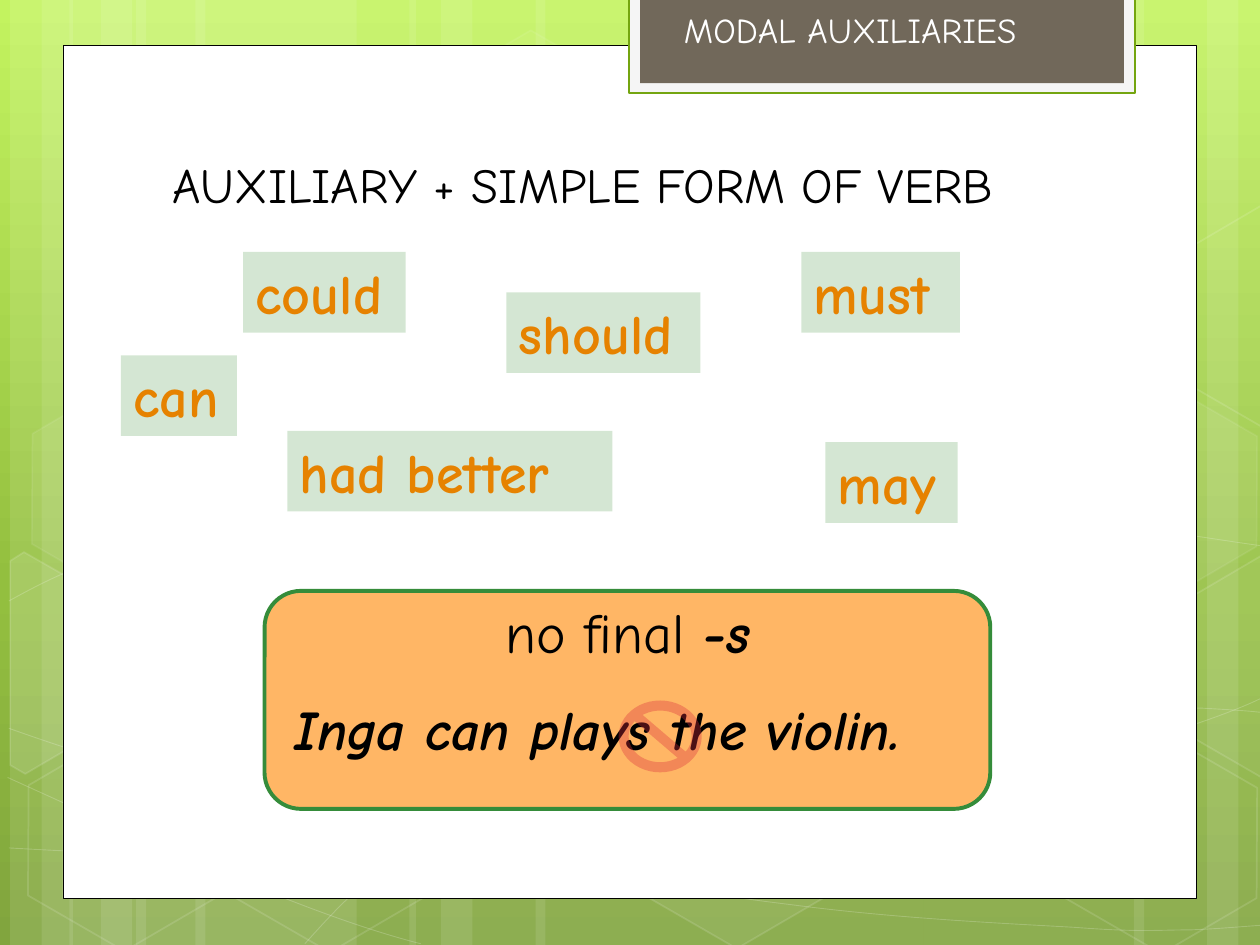
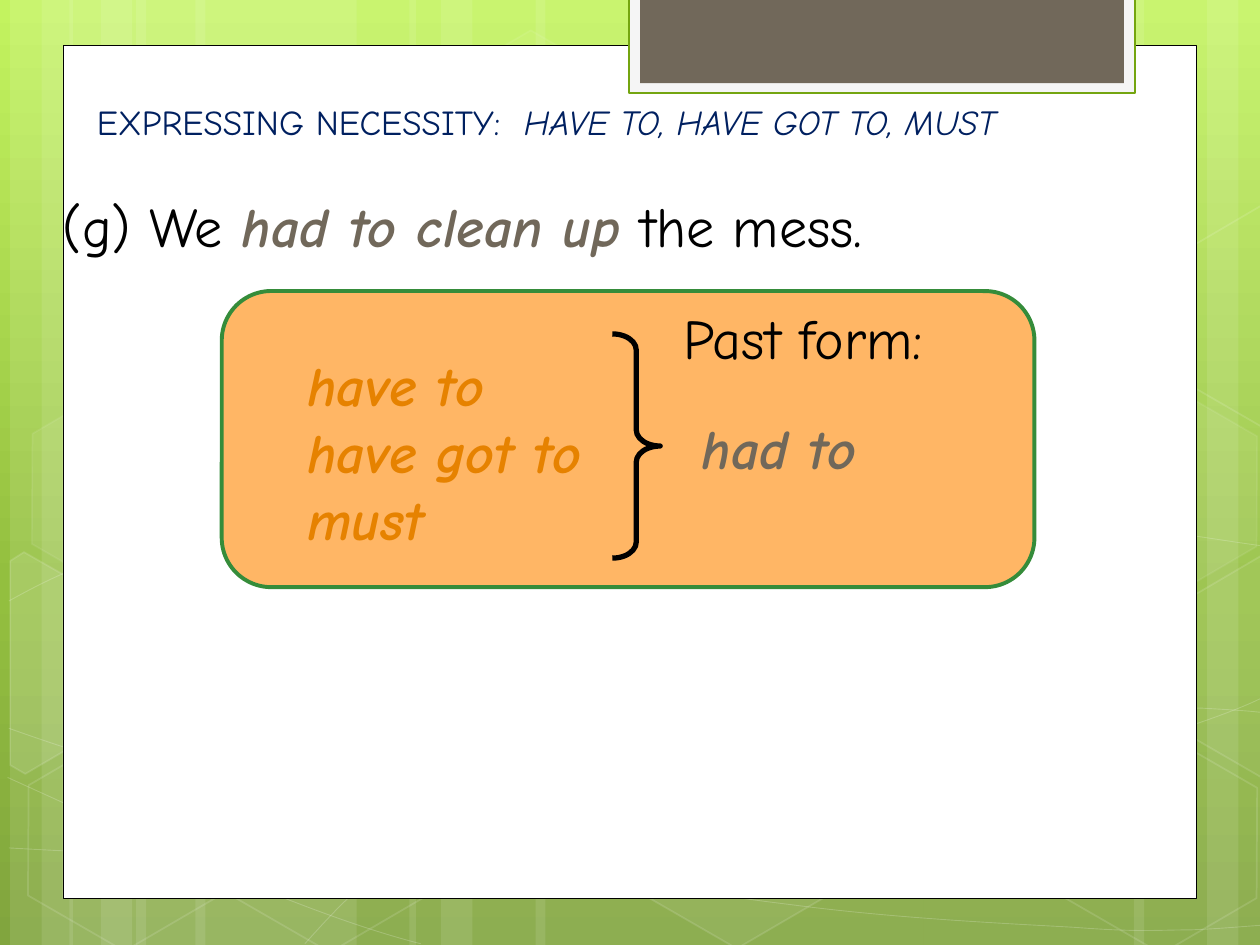
from math import cos, radians, sin

from lxml import etree
from pptx import Presentation
from pptx.dml.color import RGBColor
from pptx.enum.shapes import MSO_SHAPE
from pptx.oxml import parse_xml
from pptx.oxml.ns import nsdecls, qn
from pptx.util import Inches, Pt

RECT = MSO_SHAPE.RECTANGLE
ROUNDED = MSO_SHAPE.ROUNDED_RECTANGLE
HEXAGON = MSO_SHAPE.HEXAGON
BRACE = MSO_SHAPE.RIGHT_BRACE
NO_SIGN = MSO_SHAPE.NO_SYMBOL

FONT = "Comic Neue"
TILT = 30  # degrees, shared by all hexagons
COLORS = {
    "white": "FFFFFF", "black": "000000", "navy": "002060", "taupe": "71685A",
    "orange": "E68200", "peach": "FFB665", "green": "358C3A", "mint": "2B8525",
    "tab_edge": "74A510", "tab_rim": "F5F5F5", "red": "DC303D",
}
BACKGROUND = [(0, "C3F35F"), (62, "93BF3F"), (100, "81A53E")]

# Run formats
PLAIN = {"size": 32, "color": "black"}
STRONG = {**PLAIN, "bold": True, "italic": True}
WORD = {"size": 32, "color": "orange", "bold": True}
MODAL = {**WORD, "italic": True}
PAST = {**MODAL, "color": "taupe"}
HEADING = {"size": 28, "color": "black"}
TAB = {"size": 20, "color": "white"}
TITLE = {"size": 20, "color": "navy"}

# Slide text: (box, paragraphs), each paragraph a list of (text, format)
FORMULA = [
    ((1.27, 1.18, 7.46, 0.57), [[("AUXILIARY + SIMPLE FORM OF VERB", HEADING)]]),
    ((3.91, 4.69, 2.38, 0.64), [[("no final ", PLAIN), ("-s", STRONG)]]),
    ((2.24, 5.46, 5.73, 0.64), [[("Inga can plays the violin.", STRONG)]]),
    ((5.33, 0.02, 3.42, 0.44), [[("MODAL AUXILIARIES", TAB)]]),
]
MODAL_WORDS = [  # word, left, top, width
    ("can", 0.96, 2.82, 0.92), ("could", 1.93, 2, 1.29), ("should", 4.02, 2.32, 1.54),
    ("had better", 2.28, 3.42, 2.58), ("must", 6.36, 2, 1.26), ("may", 6.55, 3.51, 1.05),
]
NECESSITY = [
    ((0.4, 1.47, 7.19, 1.72),
     [[("(g) We ", PLAIN), ("had to clean up", PAST), (" the mess.", PLAIN)]]),
    ((2.34, 2.73, 2.71, 1.72),
     [[(form, MODAL)] for form in ("have to", "have got to", "must")]),
    ((5.33, 2.36, 2.4, 0.64), [[("Past form:", PLAIN)]]),
    ((5.47, 3.23, 1.62, 0.64), [[("had to", PAST)]]),
    ((0.67, 0.75, 8.95, 0.44),
     [[("EXPRESSING NECESSITY:  ", TITLE),
       ("HAVE TO, HAVE GOT TO, MUST", {**TITLE, "italic": True})]]),
]

# Backdrop
STRIPES = [  # left, width
    (1.08, 1.75), (0.08, 0.5), (0.33, 0.83), (1.55, 1.75), (0.55, 0.5), (0.8, 0.83),
    (7.33, 1.75), (9.58, 0.5), (9, 0.83), (4.25, 3.08), (3.25, 0.5), (3.5, 0.83),
]
CURVES = [  # segment kinds (C takes three points, L one), start point and the rest
    ("CCCC", [
        (0.07, 6.73), (0.61, 6.76), (1.15, 6.79), (1.9, 6.78), (2.65, 6.77), (3.58, 6.75),
        (4.58, 6.65), (5.58, 6.55), (7, 6.36), (7.92, 6.17), (8.83, 5.98), (9.77, 5.68),
        (10.07, 5.51)]),
    ("CCCC", [
        (0.07, 4.77), (0.36, 4.61), (0.65, 4.46), (1.21, 4.31), (1.78, 4.16), (2.59, 3.94),
        (3.47, 3.87), (4.36, 3.8), (5.44, 3.79), (6.54, 3.87), (7.64, 3.95), (9.47, 4.26),
        (10.07, 4.34)]),
    ("C", [(0.06, 6.17), (1.27, 6.72), (2.47, 7.27), (3.34, 7.49)]),
    ("CCCCCC", [
        (0.07, 5.78), (0.38, 5.89), (0.7, 6), (1.28, 6.16), (1.86, 6.31), (2.73, 6.56),
        (3.57, 6.73), (4.4, 6.9), (5.45, 7.08), (6.28, 7.18), (7.11, 7.29), (8, 7.33),
        (8.53, 7.36), (9.05, 7.4), (9.19, 7.38), (9.45, 7.38), (9.71, 7.37), (9.89, 7.35),
        (10.07, 7.34)]),
    ("CCCCCCCLCC", [
        (2.42, 7.49), (2.6, 7.29), (2.78, 7.09), (3.02, 6.91), (3.26, 6.73), (3.6, 6.53),
        (3.88, 6.39), (4.16, 6.25), (4.33, 6.19), (4.7, 6.09), (5.06, 5.99), (5.73, 5.85),
        (6.08, 5.78), (6.44, 5.71), (6.49, 5.71), (6.8, 5.69), (7.11, 5.66), (7.6, 5.63),
        (7.94, 5.62), (8.29, 5.61), (8.86, 5.62), (8.86, 5.62), (9.53, 5.62), (9.71, 5.63),
        (9.88, 5.64), (9.97, 5.65), (10.06, 5.66), (10.03, 5.65), (10.06, 5.66)]),
]
HEXAGONS = [  # left, top, fill opacity, line opacity
    (3.34, 0.36, 4, 8), (4.97, 5.89, 6, 12), (0.11, 5.91, 0, 12), (0.14, 3.12, 7, 8),
    (1.74, 5.92, 0, 12), (7.53, 4.53, 10, 12), (8.34, 5.93, 0, 12), (8.34, 3.14, 7, 8),
]
CUT_HEXAGONS = [  # centre, corners as they stand after the tilt, fill opacity
    ((0.36, 5.35), [(0.08, 4.45), (0.19, 4.38), (0.96, 4.82), (0.95, 5.7), (0.2, 6.14),
                    (0.08, 6.07)], 10),
    ((9.85, 5.2), [(9.26, 4.85), (10.01, 4.41), (10.09, 4.46), (10.09, 6.13),
                   (10.02, 6.17), (9.26, 5.73)], 4),
    ((9.85, 2.41), [(9.26, 2.07), (10.01, 1.63), (10.1, 1.68), (10.09, 3.35),
                    (10.02, 3.39), (9.26, 2.95)], 0),
]


def rgb(name):
    return RGBColor.from_string(COLORS[name])


def set_opacity(parent, percent):
    """Add an alpha to the solid fill held by a spPr or ln element."""
    color = parent.find(qn("a:solidFill"))[0]
    color.append(parse_xml(f'<a:alpha {nsdecls("a")} val="{percent * 1000}"/>'))


def style(sp, fill=None, fill_opacity=100, line=None, width=1, line_opacity=100):
    sp.shadow.inherit = False
    spPr = sp._element.spPr
    if fill and fill_opacity:
        sp.fill.solid()
        sp.fill.fore_color.rgb = rgb(fill)
        if fill_opacity < 100:
            set_opacity(spPr, fill_opacity)
    else:
        sp.fill.background()
    if line:
        sp.line.color.rgb = rgb(line)
        sp.line.width = Pt(width)
        if line_opacity < 100:
            set_opacity(spPr.find(qn("a:ln")), line_opacity)
    else:
        sp.line.fill.background()


def add_shape(slide, kind, box, adjust=(), **look):
    sp = slide.shapes.add_shape(kind, *map(Inches, box))
    for i, value in enumerate(adjust):
        sp.adjustments[i] = value
    style(sp, **look)
    return sp


def add_outline(slide, points, close=False, **look):
    start, *rest = [(Inches(x), Inches(y)) for x, y in points]
    builder = slide.shapes.build_freeform(*start)
    builder.add_line_segments(rest, close=close)
    sp = builder.convert_to_shape()
    style(sp, **look)
    return sp


def bend(sp, kinds):
    """Merge straight segments of an outline into Bezier curves, three for each C."""
    segments = iter(sp._element.spPr.findall(".//" + qn("a:lnTo")))
    for kind in kinds:
        first = next(segments)
        if kind == "C":
            first.tag = qn("a:cubicBezTo")
            for extra in (next(segments), next(segments)):
                first.append(extra[0])
                extra.getparent().remove(extra)


def untilt(points, centre):
    """Turn points back by TILT about the centre."""
    c, s = cos(radians(TILT)), sin(radians(TILT))
    cx, cy = centre
    return [(cx + (x - cx) * c + (y - cy) * s, cy - (x - cx) * s + (y - cy) * c)
            for x, y in points]


def add_text(slide, box, paragraphs):
    sp = slide.shapes.add_textbox(*map(Inches, box))
    tf = sp.text_frame
    tf.word_wrap = True
    for i, runs in enumerate(paragraphs):
        p = tf.add_paragraph() if i else tf.paragraphs[0]
        for text, fmt in runs:
            r = p.add_run()
            r.text = text
            r.font.name = FONT
            r.font.color.rgb = rgb(fmt["color"])
            r.font.size = Pt(fmt["size"])
            for key in ("bold", "italic"):
                setattr(r.font, key, fmt.get(key, False))
    return sp


def set_background(slide):
    slide.background.fill.gradient()
    grad = slide._element.cSld.find(".//" + qn("a:gradFill"))
    for child in list(grad):
        grad.remove(child)
    stops = etree.SubElement(grad, qn("a:gsLst"))
    for pos, color in BACKGROUND:
        stop = etree.SubElement(stops, qn("a:gs"), pos=str(pos * 1000))
        etree.SubElement(stop, qn("a:srgbClr"), val=color)
    etree.SubElement(grad, qn("a:lin"), ang="5400000", scaled="0")


def new_slide(prs):
    """Add a slide with the green backdrop, white page and hanging tab."""
    slide = prs.slides.add_slide(prs.slide_layouts[6])
    set_background(slide)
    for left, width in STRIPES:
        add_shape(slide, RECT, (left, 0, width, 7.5), fill="white", fill_opacity=10)
    for kinds, points in CURVES:
        bend(add_outline(slide, points, line="white", width=0.5, line_opacity=20), kinds)
    for left, top, fill_opacity, line_opacity in HEXAGONS:
        sp = add_shape(slide, HEXAGON, (left, top, 1.75, 1.52), (0.285,), fill="white",
                       fill_opacity=fill_opacity, line="white", line_opacity=line_opacity)
        sp.rotation = TILT
    for centre, corners, fill_opacity in CUT_HEXAGONS:
        sp = add_outline(slide, untilt(corners, centre), close=True, fill="white",
                         fill_opacity=fill_opacity, line="white", line_opacity=12)
        sp.rotation = TILT
    add_shape(slide, RECT, (0.5, 0.36, 9, 6.77), fill="white", line="black", width=0.5)
    add_shape(slide, RECT, (4.99, -0.02, 4.02, 0.76), fill="tab_rim", line="tab_edge",
              width=1.25)
    add_shape(slide, RECT, (5.08, -0.02, 3.84, 0.68), fill="taupe")
    return slide


def add_panel(slide, box):
    add_shape(slide, ROUNDED, box, (0.167,), fill="peach", line="green", width=2.25)


def add_texts(slide, texts):
    for box, paragraphs in texts:
        add_text(slide, box, paragraphs)


def build_formula(prs):
    slide = new_slide(prs)
    add_panel(slide, (2.1, 4.69, 5.76, 1.73))
    add_texts(slide, FORMULA)
    add_shape(slide, NO_SIGN, (4.91, 5.56, 0.66, 0.57), (0.14,), fill="red", fill_opacity=35)
    for word, left, top, width in MODAL_WORDS:
        sp = add_text(slide, (left, top, width, 0.64), [[(word, WORD)]])
        style(sp, fill="mint", fill_opacity=20)


def build_necessity(prs):
    slide = new_slide(prs)
    sentence, *forms = NECESSITY
    add_texts(slide, [sentence])
    add_panel(slide, (1.76, 2.31, 6.45, 2.35))
    add_shape(slide, BRACE, (4.86, 2.65, 0.38, 1.78), (0.336, 0.5), line="black", width=3)
    add_texts(slide, forms)


def main():
    prs = Presentation()
    prs.slide_width, prs.slide_height = Inches(10), Inches(7.5)
    build_formula(prs)
    build_necessity(prs)
    prs.save("out.pptx")


if __name__ == "__main__":
    main()
